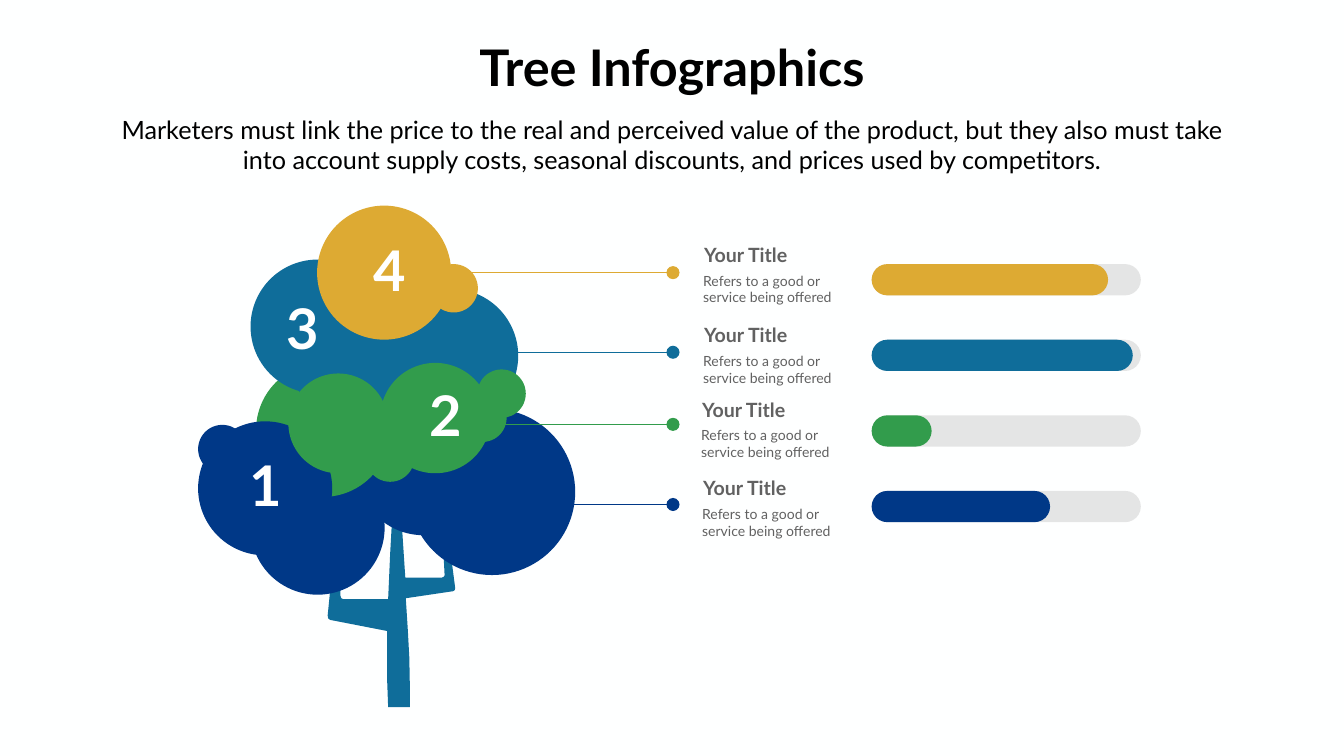
"""Tree infographic with four numbered crowns and four progress bars."""
from typing import NamedTuple

import pptx
import pptx.dml.color
import pptx.enum.shapes
import pptx.enum.text
import pptx.oxml
import pptx.oxml.ns
import pptx.util
from pptx.util import Inches

GOLD, TEAL, GREEN, NAVY = "DDAA33", "0F6D9A", "329C4C", "003887"
BLACK, WHITE, GREY, TRACK = "000000", "FFFFFF", "616161", "808080"
SHAPE = pptx.enum.shapes.MSO_SHAPE
ALIGN = pptx.enum.text.PP_ALIGN
ANCHOR = pptx.enum.text.MSO_ANCHOR
FIT = pptx.enum.text.MSO_AUTO_SIZE

BAR_LEFT, BAR_TOP, BAR_STEP, BAR_WIDTH, BAR_HEIGHT = 17.29, 5.24, 1.5, 5.34, 0.62
LINE_START, DOT_X, DOT_SIZE = 7.62, 13.35, 0.26
LARGE, SMALL = 2.66, 0.96


class Crown(NamedTuple):
    left: float
    top: float
    size: float
    color: str


class Item(NamedTuple):
    number: str
    color: str
    number_left: float
    number_top: float
    dot_y: float
    text_left: float
    text_top: float
    bar_width: float


CROWNS = [  # back to front
    Crown(4.97, 9.14, LARGE, NAVY),
    Crown(7.07, 7.96, LARGE, NAVY),
    Crown(5.08, 7.2, LARGE, GREEN),
    Crown(8.11, 8.11, 3.3, NAVY),
    Crown(3.93, 8.36, LARGE, NAVY),
    Crown(4.97, 5.15, LARGE, TEAL),
    Crown(5.81, 5.87, LARGE, TEAL),
    Crown(7.62, 5.73, LARGE, TEAL),
    Crown(6.53, 5.41, LARGE, TEAL),
    Crown(8.52, 5.24, SMALL, GOLD),
    Crown(3.93, 8.43, SMALL, NAVY),
    Crown(9.47, 7.33, SMALL, GREEN),
    Crown(9.09, 7.81, SMALL, GREEN),
    Crown(7.26, 8.6, SMALL, GREEN),
    Crown(5.72, 7.41, 1.98, GREEN),
    Crown(6.29, 4.08, LARGE, GOLD),
    Crown(7.54, 7.2, 2.19, GREEN),
]

ITEMS = [
    Item("4", GOLD, 7.31, 4.63, 5.41, 13.87, 4.77, 4.69),
    Item("3", TEAL, 5.58, 5.77, 6.99, 13.87, 6.36, 5.18),
    Item("2", GREEN, 8.42, 7.5, 8.42, 13.83, 7.84, 1.19),
    Item("1", NAVY, 4.85, 8.89, 10.01, 13.85, 9.4, 3.54),
]

TRUNK = [
    (7.7, 14.03), (8.13, 14.03), (8.13, 13.6), (8.12, 13.05), (8.09, 12.5),
    (8.05, 11.87), (8.99, 11.73), (9.02, 11.71), (9.03, 11.67), (8.87, 10.44),
    (8.82, 10.4), (8.77, 10.45), (8.82, 11.41), (8.81, 11.44), (8.77, 11.46),
    (8.04, 11.46), (7.95, 10.08), (7.79, 10.08), (7.74, 10.98), (7.7, 11.89),
    (6.81, 11.89), (6.77, 11.87), (6.75, 11.81), (6.81, 10.32), (6.75, 10.24),
    (6.69, 10.31), (6.5, 12.21), (6.51, 12.27), (6.55, 12.3), (7.68, 12.52),
    (7.68, 13.5),
]


def rgb(color: str) -> pptx.dml.color.RGBColor:
    return pptx.dml.color.RGBColor.from_string(color)


def apply(target, values: dict) -> None:
    for name, value in values.items():
        setattr(target, name, value)


def paint(shape, color: str) -> None:
    """Give a shape a flat fill without outline or shadow."""
    shape.shadow.inherit = False
    shape.fill.solid()
    shape.fill.fore_color.rgb = rgb(color)
    shape.line.fill.background()


def add_preset(page, preset, left: float, top: float, width: float, height: float, color: str):
    shape = page.shapes.add_shape(
        preset, Inches(left), Inches(top), Inches(width), Inches(height))
    paint(shape, color)
    return shape


def add_bar(page, top: float, width: float, color: str):
    bar = add_preset(page, SHAPE.ROUNDED_RECTANGLE, BAR_LEFT, top, width, BAR_HEIGHT, color)
    bar.adjustments[0] = 0.5
    return bar


def make_transparent(shape, percent: int) -> None:
    """Set the opacity of a solid fill."""
    color = shape.fill._xPr.find(".//" + pptx.oxml.ns.qn("a:srgbClr"))
    alpha = pptx.oxml.parse_xml(
        f'<a:alpha {pptx.oxml.ns.nsdecls("a")} val="{percent * 1000}"/>')
    color.append(alpha)


def add_trunk(page) -> None:
    start, *rest = [(Inches(x), Inches(y)) for x, y in TRUNK]
    builder = page.shapes.build_freeform(*start)
    builder.add_line_segments(rest, close=True)
    paint(builder.convert_to_shape(), TEAL)


def add_pointer(page, item: Item) -> None:
    y = Inches(item.dot_y)
    line = page.shapes.add_connector(
        pptx.enum.shapes.MSO_CONNECTOR.STRAIGHT, Inches(LINE_START), y, Inches(DOT_X), y)
    line.line.color.rgb = rgb(item.color)
    line.line.width = pptx.util.Pt(0.88)
    effects = pptx.oxml.parse_xml(f'<a:effectLst {pptx.oxml.ns.nsdecls("a")}/>')
    line._element.spPr.append(effects)
    add_preset(page, SHAPE.OVAL, DOT_X - DOT_SIZE / 2, item.dot_y - DOT_SIZE / 2,
               DOT_SIZE, DOT_SIZE, item.color)


def write(box, lines: list[str], size: float, color: str, bold: bool = False,
          align=ALIGN.CENTER, wrap: bool = True) -> None:
    frame = box.text_frame
    frame.text = "\n".join(lines)
    apply(frame, {"word_wrap": wrap, "auto_size": FIT.NONE, "vertical_anchor": ANCHOR.TOP})
    for para in frame.paragraphs:
        apply(para, {"alignment": align, "space_before": pptx.util.Pt(0)})
        for span in para.runs:
            apply(span.font, {"name": "Lato", "size": pptx.util.Pt(size), "bold": bold})
            span.font.color.rgb = rgb(color)


def place(box, left: float, top: float, width: float, height: float) -> None:
    apply(box, {"left": Inches(left), "top": Inches(top),
                "width": Inches(width), "height": Inches(height)})


def add_label(page, left: float, top: float, width: float, height: float,
              lines: list[str], size: float, color: str, **style) -> None:
    box = page.shapes.add_textbox(
        Inches(left), Inches(top), Inches(width), Inches(height))
    write(box, lines, size, color, **style)


def remove_bullet(para) -> None:
    properties = para._p.get_or_add_pPr()
    properties.set("marL", "0")
    properties.set("indent", "0")
    properties.append(pptx.oxml.parse_xml(f'<a:buNone {pptx.oxml.ns.nsdecls("a")}/>'))


def main() -> None:
    deck = pptx.Presentation()
    apply(deck, {"slide_width": Inches(26.66), "slide_height": Inches(15)})
    page = deck.slides.add_slide(deck.slide_layouts[1])
    page.background.fill.solid()
    page.background.fill.fore_color.rgb = rgb("FEFFFF")

    title, body = page.placeholders
    place(title, 9.32, 0.66, 8.02, 1.31)
    write(title, ["Tree Infographics"], 72, BLACK, bold=True, wrap=False)
    place(body, 1.84, 2.22, 22.98, 1.35)
    write(body, ["Marketers must link the price to the real and perceived value of the "
                 "product, but they also must take into account supply costs, seasonal "
                 "discounts, and prices used by competitors."], 36, BLACK)
    remove_bullet(body.text_frame.paragraphs[0])

    add_trunk(page)
    for left, top, size, color in CROWNS:
        add_preset(page, SHAPE.OVAL, left, top, size, size, color)
    for row, item in enumerate(ITEMS):
        add_pointer(page, item)
        bar_top = BAR_TOP + row * BAR_STEP
        make_transparent(add_bar(page, bar_top, BAR_WIDTH, TRACK), 20)
        add_bar(page, bar_top, item.bar_width, item.color)
        add_label(page, item.text_left, item.text_top, 1.92, 0.57,
                  ["Your Title"], 28, GREY, bold=True, align=ALIGN.LEFT)
        add_label(page, item.text_left - 0.02, item.text_top + 0.58, 2.84, 0.77,
                  ["Refers to a good or", "service being offered"], 20, GREY, align=ALIGN.LEFT)
        add_label(page, item.number_left, item.number_top, 0.57, 1.45,
                  [item.number], 80, WHITE, bold=True)
    deck.save("out.pptx")


if __name__ == "__main__":
    main()
